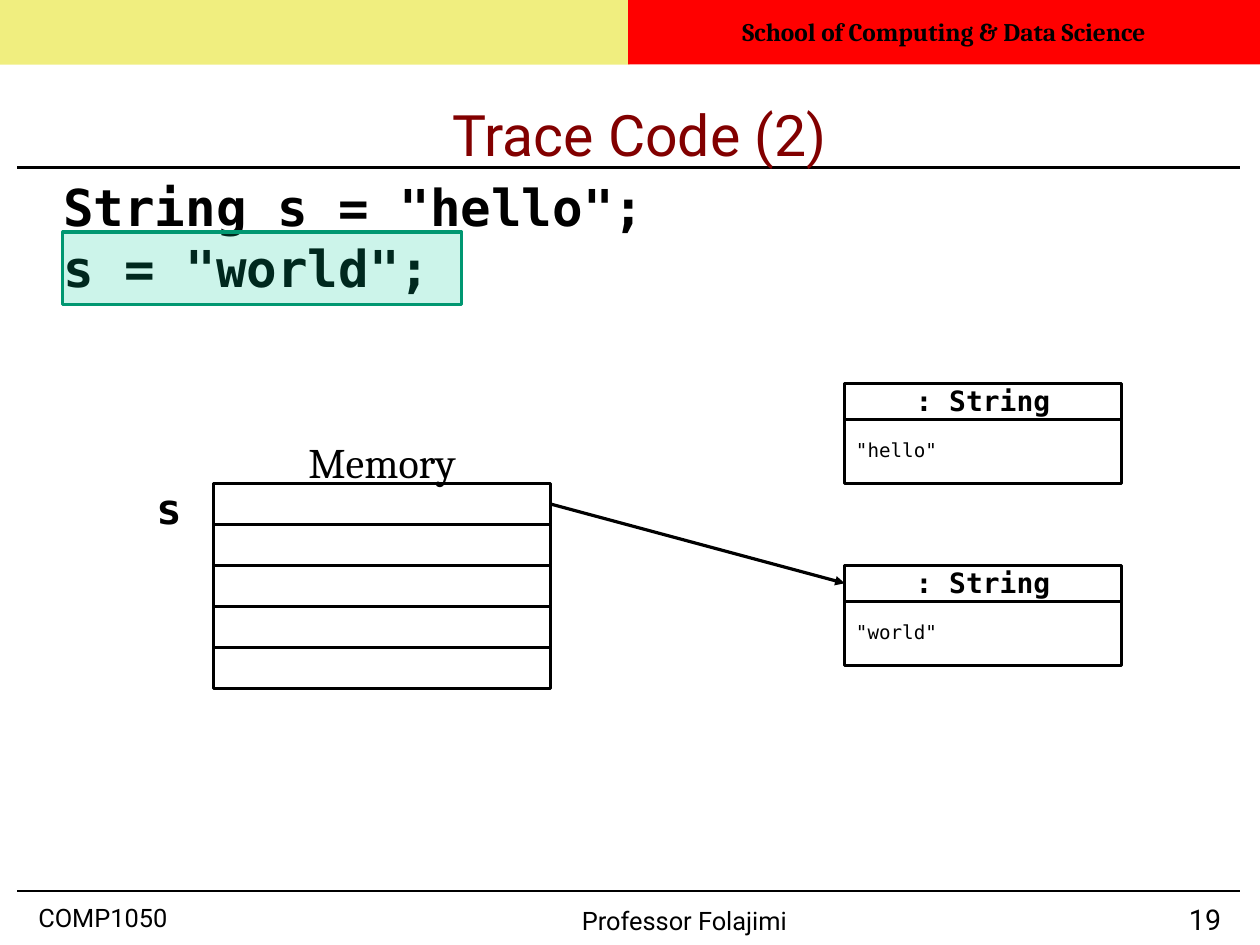
"""Build the Trace Code slide showing a string variable and its objects."""
from lxml import etree
from pptx import Presentation
from pptx.dml.color import RGBColor
from pptx.enum.shapes import MSO_CONNECTOR, MSO_SHAPE
from pptx.enum.text import MSO_ANCHOR, PP_ALIGN
from pptx.oxml.ns import qn
from pptx.util import Pt

LEFT, CENTER, RIGHT = PP_ALIGN.LEFT, PP_ALIGN.CENTER, PP_ALIGN.RIGHT
TOP, MIDDLE = MSO_ANCHOR.TOP, MSO_ANCHOR.MIDDLE
STRAIGHT, RECTANGLE = MSO_CONNECTOR.STRAIGHT, MSO_SHAPE.RECTANGLE

SANS, SERIF, MONO = "Roboto", "Cambria", "DejaVu Sans Mono"
COLORS = {
    "black": "000000",
    "white": "FFFFFF",
    "title": "820000",
    "yellow": "E3DE00",
    "red": "FF0000",
    "highlight": "00CC99",
    "highlight_edge": "009771",
}

SCHOOL = "School of Computing & Data Science"
TITLE = "Trace Code (2)"
CODE = ['String s = "hello";', 's = "world";']
FOOTERS = [
    ("COMP1050", (24.2, 568.8, 139, 20.2), 16, LEFT),
    ("Professor Folajimi", (366.6, 570.2, 139, 20.2), 16, LEFT),
    ("19", (709.4, 568.6, 59.8, 20.2), 18, RIGHT),
]
SLIDE_WIDTH, SLIDE_HEIGHT = 793.7, 595.28
RULE_TOPS = [561.4, 105.6]
RULE_LEFT, RULE_RIGHT = 10.8, 781

MEMORY_LEFT, MEMORY_TOP, MEMORY_WIDTH = 134.6, 304.6, 212.2
CELL_HEIGHT, CELL_COUNT = 25.8, 5
OBJECT_LEFT, OBJECT_WIDTH = 532.1, 174.2
HEADER_HEIGHT, VALUE_HEIGHT = 22.5, 40.3
OBJECT_TYPE = ": String"
OBJECTS = [('"hello"', 241.6), ('"world"', 356.2)]


def color(name):
    return RGBColor.from_string(COLORS[name])


def write(shape, lines, font, size, align=LEFT, anchor=TOP, bold=False,
          ink="black", spacing=0.98, inset=None, wrap=True):
    frame = shape.text_frame
    frame.word_wrap = wrap
    frame.vertical_anchor = anchor
    if inset is not None:
        frame.margin_left = frame.margin_right = frame.margin_bottom = 0
        frame.margin_top = Pt(inset)
    frame.text = "\n".join(lines)
    for para in frame.paragraphs:
        para.alignment = align
        para.line_spacing = spacing
        for span in para.runs:
            span.font.name = font
            span.font.size = Pt(size)
            span.font.bold = bold
            span.font.color.rgb = color(ink)


def add_text(page, bounds, lines, font, size, **options):
    box = page.shapes.add_textbox(*map(Pt, bounds))
    write(box, lines, font, size, **options)


def add_box(page, bounds, fill="white", edge="black", opacity=100):
    box = page.shapes.add_shape(RECTANGLE, *map(Pt, bounds))
    box.shadow.inherit = False
    box.fill.solid()
    box.fill.fore_color.rgb = color(fill)
    if opacity < 100:
        tint = box.element.spPr.find(qn("a:solidFill")).find(qn("a:srgbClr"))
        etree.SubElement(tint, qn("a:alpha"), val=str(opacity * 1000))
    if edge:
        box.line.color.rgb = color(edge)
        box.line.width = Pt(2)
    else:
        box.line.fill.background()
    return box


def add_line(page, start, end, width, arrow=False):
    line = page.shapes.add_connector(STRAIGHT, *map(Pt, start + end))
    line.line.color.rgb = color("black")
    line.line.width = Pt(width)
    properties = line.element.spPr
    if arrow:
        etree.SubElement(properties.find(qn("a:ln")), qn("a:tailEnd"), type="triangle")
    etree.SubElement(properties, qn("a:effectLst"))


def add_frame(page):
    for top in RULE_TOPS:
        add_line(page, (RULE_LEFT, top), (RULE_RIGHT, top), 1.5)
    for text, bounds, size, align in FOOTERS:
        add_text(page, bounds, [text], SANS, size, align=align, spacing=0.93, inset=1.4)
    add_box(page, (0, 0, 396.7, 40.7), "yellow", None, 50)
    banner = add_box(page, (395.7, 0, 398, 40.5), "red", None)
    write(banner, [SCHOOL], SERIF, 16, CENTER, MIDDLE, True)
    add_text(page, (96.9, 51.8, 612, 57.6), [TITLE], SANS, 36, align=CENTER,
             anchor=MIDDLE, ink="title", spacing=1.17, inset=0)


def add_memory(page):
    for index in range(CELL_COUNT):
        top = MEMORY_TOP + index * CELL_HEIGHT
        add_box(page, (MEMORY_LEFT, top, MEMORY_WIDTH, CELL_HEIGHT))
    add_text(page, (91.4, 301.7, 29.5, 38.9), ["s"], MONO, 26.5, bold=True, wrap=False)
    add_text(page, (MEMORY_LEFT, 272.9, MEMORY_WIDTH, 38.9), ["Memory"], SERIF, 26.5,
             align=CENTER)


def add_object(page, value, top):
    header = add_box(page, (OBJECT_LEFT, top, OBJECT_WIDTH, HEADER_HEIGHT))
    write(header, [OBJECT_TYPE], MONO, 17.6, CENTER, MIDDLE, True)
    body = add_box(page, (OBJECT_LEFT, top + HEADER_HEIGHT, OBJECT_WIDTH, VALUE_HEIGHT))
    write(body, [value], MONO, 12.1, LEFT, MIDDLE)


def main():
    deck = Presentation()
    deck.slide_width, deck.slide_height = Pt(SLIDE_WIDTH), Pt(SLIDE_HEIGHT)
    page = deck.slides.add_slide(deck.slide_layouts[6])
    add_frame(page)
    add_text(page, (39.8, 110.9, 714.2, 420.5), CODE, MONO, 32, bold=True,
             spacing=1, inset=0)
    add_box(page, (39.6, 146.2, 251.3, 45.4), "highlight", "highlight_edge", 20)
    add_memory(page)
    add_line(page, (MEMORY_LEFT + MEMORY_WIDTH, MEMORY_TOP + CELL_HEIGHT / 2),
             (OBJECT_LEFT, OBJECTS[-1][1] + HEADER_HEIGHT / 2), 2, arrow=True)
    for value, top in OBJECTS:
        add_object(page, value, top)
    deck.save("out.pptx")


if __name__ == "__main__":
    main()
